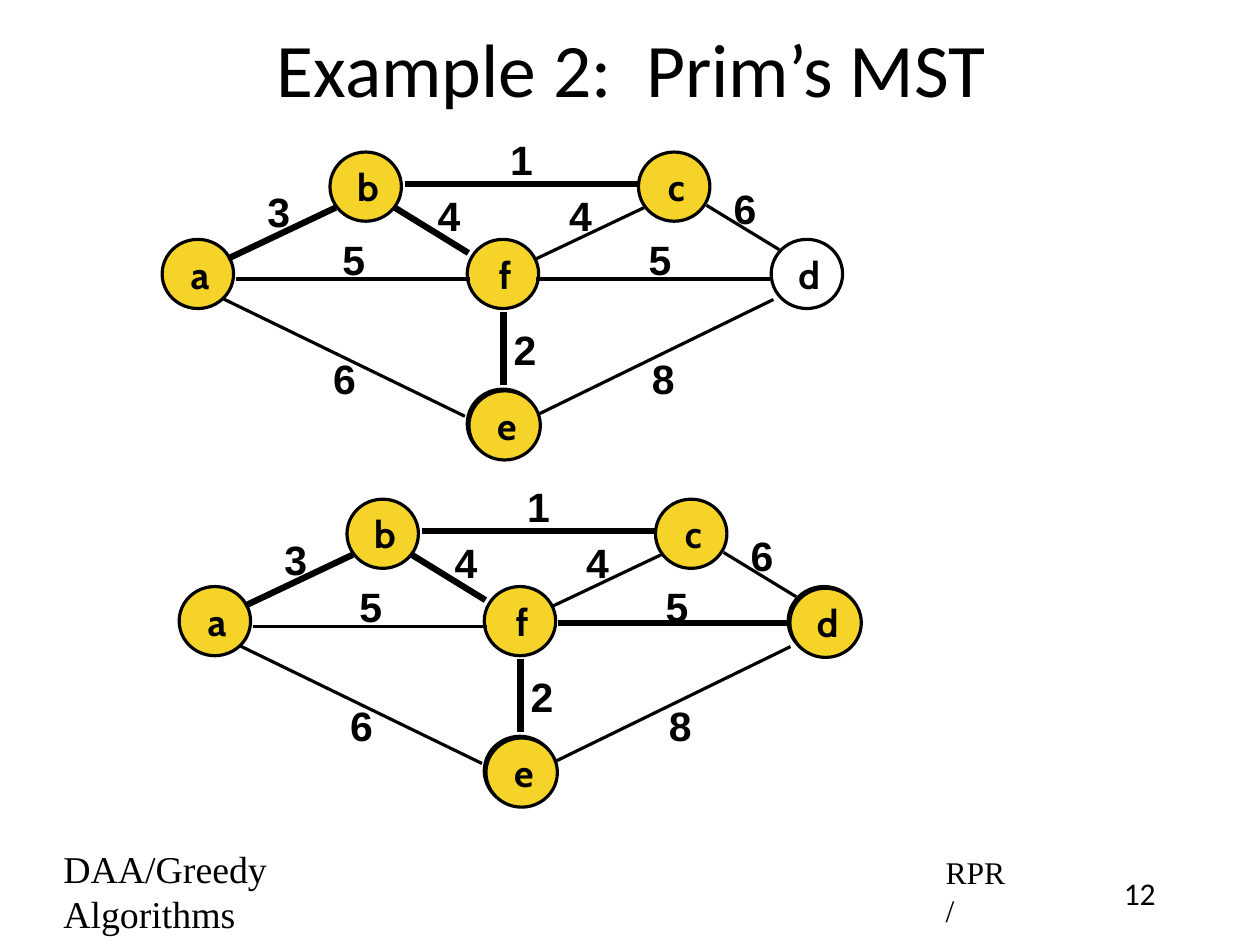
"""Builds the slide on Prim's minimum spanning tree with two steps of one graph."""
from lxml import etree
from pptx import Presentation
from pptx.dml.color import RGBColor
from pptx.enum import shapes, text
from pptx.oxml.ns import qn
from pptx.util import Inches, Pt

BLACK = "000000"
GOLD = "F5D328"
THIN, THICK = 2, 4
NODE_WIDTH, NODE_HEIGHT = 0.63, 0.61
RING_SHIFT = 0.015

NODES = {
    "a": (0, 0.97), "b": (1.48, 0.2), "c": (4.2, 0.2),
    "d": (5.37, 0.97), "e": (2.69, 2.29), "f": (2.69, 0.97),
}
EDGES = {
    "ab": (0.58, 1.14, 1.53, 0.69, THICK),
    "fc": (3.3, 1.14, 4.25, 0.69, THIN),
    "ed": (3.3, 2.52, 5.39, 1.5, THIN),
    "ae": (0.53, 1.49, 2.67, 2.53, THIN),
    "bf": (2.05, 0.69, 2.7, 1.09, THICK),
    "cd": (4.8, 0.67, 5.44, 1.06, THIN),
    "fd": (3.3, 1.32, 5.36, 1.32, THIN),
    "af": (0.65, 1.32, 2.71, 1.32, THIN),
    "bc": (2.14, 0.48, 4.2, 0.48, THICK),
    "fe": (3.01, 1.61, 3.01, 2.25, THICK),
}
TREE_EDGE_FD = (3.34, 1.29, 5.4, 1.29, THICK)
WEIGHTS = [
    ("2", 3, 1.67), ("6", 1.41, 1.93), ("3", 0.83, 0.46), ("5", 1.49, 0.88),
    ("1", 2.97, 0), ("4", 2.33, 0.49), ("4", 3.49, 0.49), ("5", 4.19, 0.88),
    ("6", 4.94, 0.43), ("8", 4.22, 1.93),
]


def color(value):
    """Return the colour for a hex string."""
    return RGBColor.from_string(value)


def write(shape, words, font, size, bold=False, center=False, wrap=True, indent=0.04,
          anchor=text.MSO_ANCHOR.MIDDLE):
    """Fill a shape with one paragraph of black text."""
    frame = shape.text_frame
    frame.word_wrap = wrap
    frame.vertical_anchor = anchor
    frame.margin_left = Inches(0.06 + indent)
    frame.margin_right = frame.margin_top = frame.margin_bottom = Inches(0.06)
    paragraph = frame.paragraphs[0]
    paragraph.text = words
    paragraph.alignment = text.PP_ALIGN.CENTER if center else text.PP_ALIGN.LEFT
    paragraph.font.name = font
    paragraph.font.size = Pt(size)
    paragraph.font.bold = bold
    paragraph.font.color.rgb = color(BLACK)


def add_label(slide, box, words, font, size, **style):
    """Add a text box at the given left, top, width and height."""
    write(slide.shapes.add_textbox(*map(Inches, box)), words, font, size, **style)


def add_node(slide, left, top, name, fill=None):
    """Add a graph node, hollow unless a fill is given."""
    node = slide.shapes.add_shape(
        shapes.MSO_SHAPE.OVAL, Inches(left), Inches(top), Inches(NODE_WIDTH), Inches(NODE_HEIGHT))
    node.shadow.inherit = False
    if fill:
        node.fill.solid()
        node.fill.fore_color.rgb = color(fill)
    else:
        node.fill.background()
    node.line.color.rgb = color(BLACK)
    node.line.width = Pt(THIN)
    write(node, name, "Cabin", 24, bold=True, center=True)


def add_edge(slide, left, top, edge):
    """Add a graph edge given relative to the graph's corner."""
    x1, y1, x2, y2, width = edge
    line = slide.shapes.add_connector(
        shapes.MSO_CONNECTOR.STRAIGHT, Inches(left + x1), Inches(top + y1),
        Inches(left + x2), Inches(top + y2))
    line.line.color.rgb = color(BLACK)
    line.line.width = Pt(width)
    etree.SubElement(line._element.spPr, qn("a:effectLst"))


def add_graph(slide, left, top, newly_reached, edges):
    """Draw one step of the algorithm with its corner at left, top."""
    for name in "adef":
        x, y = NODES[name]
        add_node(slide, left + x, top + y, name if name not in newly_reached else "",
                 GOLD if name in "af" else None)
    for edge in edges.values():
        add_edge(slide, left, top, edge)
    for weight, x, y in WEIGHTS:
        add_label(slide, (left + x, top + y, 0.37, 0.53), weight, "Arial", 26,
                  bold=True, wrap=False)
    for name in "bc" + newly_reached:
        x, y = NODES[name]
        shift = RING_SHIFT if name in newly_reached else 0
        add_node(slide, left + x + shift, top + y + shift, name, GOLD)


def add_title(slide, box):
    """Add the slide title."""
    add_label(slide, box, "Example 2:  Prim’s MST", "Calibri", 48, center=True)


def add_footer(slide, left, top):
    """Add the course name, the initials and the slide number."""
    add_label(slide, (left, top, 2.6, 0.47), "DAA/Greedy Algorithms", "Times New Roman", 24)
    add_label(slide, (left + 7.78, top + 0.02, 0.7, 0.42), "RPR/", "Times New Roman", 20)
    add_label(slide, (left + 9.26, top + 0.02, 0.66, 0.42), "12", "Calibri", 20,
              center=True, indent=0, anchor=text.MSO_ANCHOR.TOP)


def main():
    """Build and save the presentation."""
    presentation = Presentation()
    presentation.slide_width = Inches(11.11)
    presentation.slide_height = Inches(8.33)
    slide = presentation.slides.add_slide(presentation.slide_layouts[6])
    add_title(slide, (0.83, 0.07, 9.44, 1.04))
    add_footer(slide, 0.46, 7.62)
    add_graph(slide, 1.43, 1.14, "e", EDGES)
    add_graph(slide, 1.58, 4.2, "ed", {**EDGES, "fd": TREE_EDGE_FD})
    presentation.save("out.pptx")


if __name__ == "__main__":
    main()
